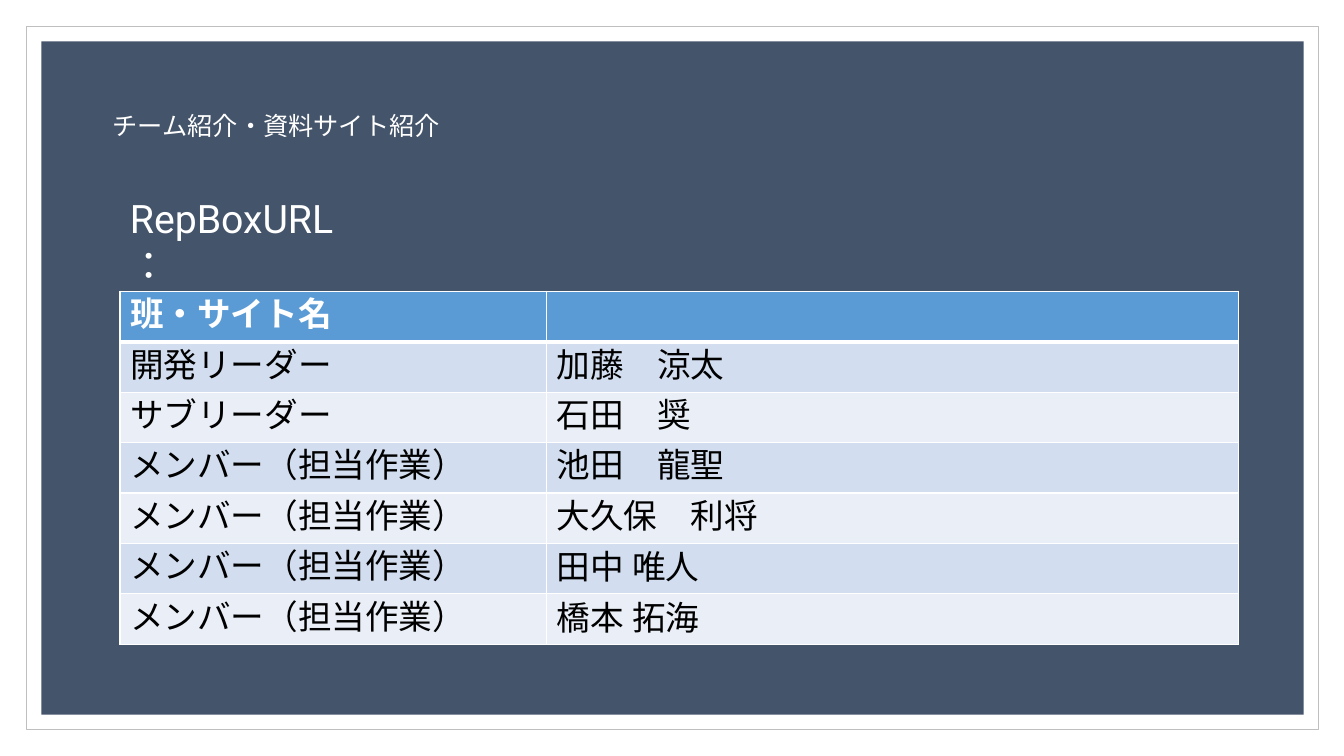
from lxml import etree
from pptx import Presentation
from pptx import util as u
from pptx.dml.color import RGBColor
from pptx.enum import lang, shapes, text
from pptx.oxml import ns

WHITE = RGBColor(0xFF, 0xFF, 0xFF)
BLACK = RGBColor(0x00, 0x00, 0x00)
FRAME_GRAY = RGBColor(0xBF, 0xBF, 0xBF)
SLATE = RGBColor(0x44, 0x54, 0x6A)
HEADER_BLUE = RGBColor(0x5B, 0x9B, 0xD5)
BANDS = (RGBColor(0xD2, 0xDE, 0xEF), RGBColor(0xEA, 0xEF, 0xF7))

MEMBER = "メンバー（担当作業）"
TEAM = [
    ("班・サイト名", ""),
    ("開発リーダー", "加藤　涼太"),
    ("サブリーダー", "石田　奨"),
    (MEMBER, "池田　龍聖"),
    (MEMBER, "大久保　利将"),
    (MEMBER, "田中 唯人"),
    (MEMBER, "橋本 拓海"),
]
ROBOTO_NAMES = ("田中 唯人", "橋本 拓海")


def write(frame, content, size=24, font="Arial", color=WHITE, bold=False):
    run = frame.paragraphs[0].add_run()
    run.text = content
    run.font.size = u.Pt(size)
    run.font.name = font
    run.font.color.rgb = color
    run.font.bold = bold
    run.font.language_id = lang.MSO_LANGUAGE_ID.JAPANESE
    etree.SubElement(run._r.get_or_add_rPr(), ns.qn("a:ea"), typeface=font)


class SlideBuilder:
    def __init__(self, slide):
        self.slide = slide

    def panel(self, left, top, width, height, fill, line=None):
        shape = self.slide.shapes.add_shape(
            shapes.MSO_SHAPE.RECTANGLE, *map(u.Inches, (left, top, width, height)))
        shape.shadow.inherit = False
        shape.fill.solid()
        shape.fill.fore_color.rgb = fill
        if line is None:
            shape.line.fill.background()
        else:
            shape.line.color.rgb = line
            shape.line.width = u.Pt(0.5)

    def label(self, left, top, width, height, content, wrap=False, **style):
        box = self.slide.shapes.add_textbox(*map(u.Inches, (left, top, width, height)))
        box.text_frame.word_wrap = wrap
        box.text_frame.auto_size = text.MSO_AUTO_SIZE.NONE
        write(box.text_frame, content, **style)

    def borders(self, cell, **widths):
        properties = cell._tc.get_or_add_tcPr()
        for side in "LRTB":
            line = etree.SubElement(properties, ns.qn(f"a:ln{side}"),
                                    w=str(u.Pt(widths.get(side, 1))))
            fill = etree.SubElement(line, ns.qn("a:solidFill"))
            etree.SubElement(fill, ns.qn("a:srgbClr"), val=str(WHITE))

    def table(self, left, top, column_widths, row_height, rows):
        table = self.slide.shapes.add_table(
            len(rows), len(column_widths), u.Inches(left), u.Inches(top),
            u.Inches(sum(column_widths)), u.Inches(row_height * len(rows))).table
        table.horz_banding = False
        for column, width in zip(table.columns, column_widths):
            column.width = u.Inches(width)
        for index, values in enumerate(rows):
            header = index == 0
            for column, value in enumerate(values):
                cell = table.cell(index, column)
                self.borders(cell, T=3 if index == 1 else 1, B=3 if header else 1)
                cell.fill.solid()
                cell.fill.fore_color.rgb = HEADER_BLUE if header else BANDS[(index - 1) % 2]
                if value:
                    write(cell.text_frame, value, bold=header,
                          color=WHITE if header else BLACK,
                          font="Roboto" if value in ROBOTO_NAMES else "Arial")


def main():
    presentation = Presentation()
    presentation.slide_width = u.Inches(13.33)
    presentation.slide_height = u.Inches(7.5)
    builder = SlideBuilder(presentation.slides.add_slide(presentation.slide_layouts[6]))
    builder.panel(0.26, 0.26, 12.82, 6.98, WHITE, FRAME_GRAY)
    builder.panel(0.41, 0.41, 12.52, 6.68, SLATE)
    builder.label(1.02, 1.05, 3.48, 0.4, "チーム紹介・資料サイト紹介", size=18)
    builder.table(1.19, 2.89, (4.23, 6.86), 0.5, TEAM)
    builder.label(1.19, 1.88, 2.41, 0.57, "RepBoxURL：", wrap=True, size=28, font="Roboto")
    presentation.save("out.pptx")


if __name__ == "__main__":
    main()
